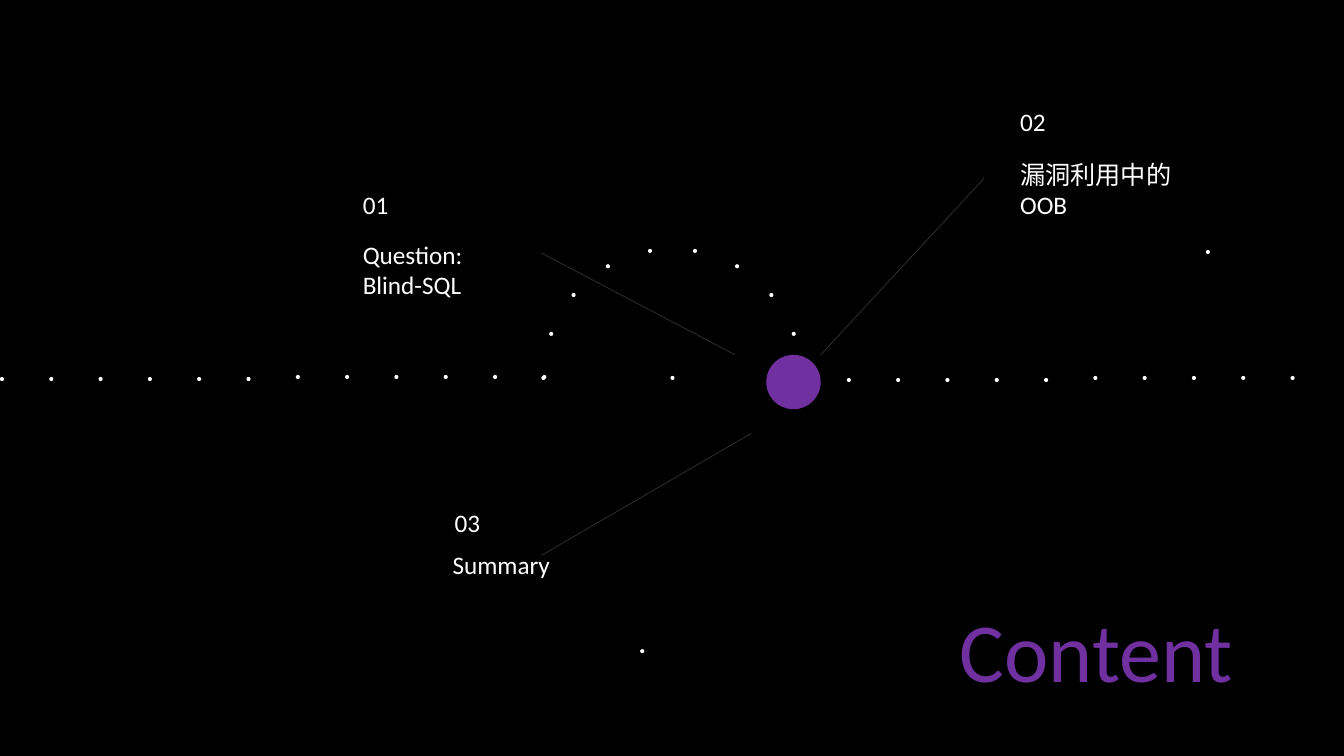
from math import cos, radians, sin

from lxml.etree import SubElement
from pptx import Presentation
from pptx.dml.color import RGBColor
from pptx.enum.shapes import MSO_CONNECTOR, MSO_SHAPE
from pptx.enum.text import MSO_ANCHOR, MSO_AUTO_SIZE, PP_ALIGN
from pptx.oxml.ns import qn
from pptx.util import Inches, Pt

BLACK = RGBColor(0x00, 0x00, 0x00)
WHITE = RGBColor(0xFF, 0xFF, 0xFF)
PURPLE = RGBColor(0x70, 0x30, 0xA0)
GRAY = RGBColor(0x80, 0x80, 0x80)
DOT = 0.04

prs = Presentation()
prs.slide_width, prs.slide_height = Inches(13.33), Inches(7.5)
slide = prs.slides.add_slide(prs.slide_layouts[5])
slide.background.fill.solid()
slide.background.fill.fore_color.rgb = BLACK


def add_circle(left, top, size, color):
    circle = slide.shapes.add_shape(
        MSO_SHAPE.OVAL, Inches(left), Inches(top), Inches(size), Inches(size))
    circle.shadow.inherit = False
    circle.fill.solid()
    circle.fill.fore_color.rgb = color
    circle.line.fill.background()


def write(frame, text, size, color):
    frame.text = text
    frame.word_wrap = True
    frame.vertical_anchor = MSO_ANCHOR.TOP
    for paragraph in frame.paragraphs:
        paragraph.alignment = PP_ALIGN.LEFT
        paragraph.line_spacing = 1.0
        for run in paragraph.runs:
            run.font.name = "Calibri"
            run.font.size = Pt(size)
            run.font.color.rgb = color


# Dotted timeline: each half steps up slightly after its sixth dot
for start, top, count in [(0, 3.74, 12), (7.91, 3.75, 11)]:
    for i in range(count):
        add_circle(start + 0.489 * i, top if i < 6 else top - 0.02, DOT, WHITE)

# Dotted arc around its centre dot
arc_x, arc_y, radius = 6.65, 3.73, 1.28
add_circle(arc_x, arc_y, DOT, WHITE)
for angle in range(0, 181, 20):
    add_circle(arc_x + radius * cos(radians(angle)),
               arc_y - radius * sin(radians(angle)), DOT, WHITE)

# Hub
add_circle(7.6, 3.52, 0.54, PURPLE)

# Faint lines from the hub to the topics
for x1, y1, x2, y2 in [(5.37, 2.51, 7.29, 3.52),
                       (8.14, 3.52, 9.76, 1.77),
                       (7.45, 4.3, 5.37, 5.51)]:
    spoke = slide.shapes.add_connector(
        MSO_CONNECTOR.STRAIGHT, Inches(x1), Inches(y1), Inches(x2), Inches(y2))
    spoke.line.color.rgb = GRAY
    spoke.line.width = Pt(0.5)
    color_xml = spoke.line._ln.find(".//" + qn("a:srgbClr"))
    SubElement(color_xml, qn("a:alpha")).set("val", "40000")
    SubElement(spoke._element.spPr, qn("a:effectLst"))

# Topics: number, heading and a lone dot
topics = [
    ("01", 3.5, 1.83, "Question:\nBlind-SQL", 3.5, 2.32, 0.71, None),
    ("02", 10.02, 1.01, "漏洞利用中的OOB", 10.02, 1.53, 0.71, (11.96, 2.48)),
    ("03", 4.41, 4.98, "Summary", 4.39, 5.4, 0.4, (6.35, 6.44)),
]
for number, num_x, num_y, heading, head_x, head_y, head_h, dot in topics:
    for text, left, top, width, height in [
            (number, num_x, num_y, 0.85, 0.4),
            (heading, head_x, head_y, 1.94, head_h)]:
        label = slide.shapes.add_textbox(
            Inches(left), Inches(top), Inches(width), Inches(height))
        write(label.text_frame, text, 18, WHITE)
    if dot:
        add_circle(*dot, DOT, WHITE)

# Title
title = slide.shapes.title
title.left, title.top = Inches(9.42), Inches(5.89)
title.width, title.height = Inches(3.24), Inches(1.11)
write(title.text_frame, "Content", 60, PURPLE)
title.text_frame.auto_size = MSO_AUTO_SIZE.NONE

prs.save("out.pptx")
